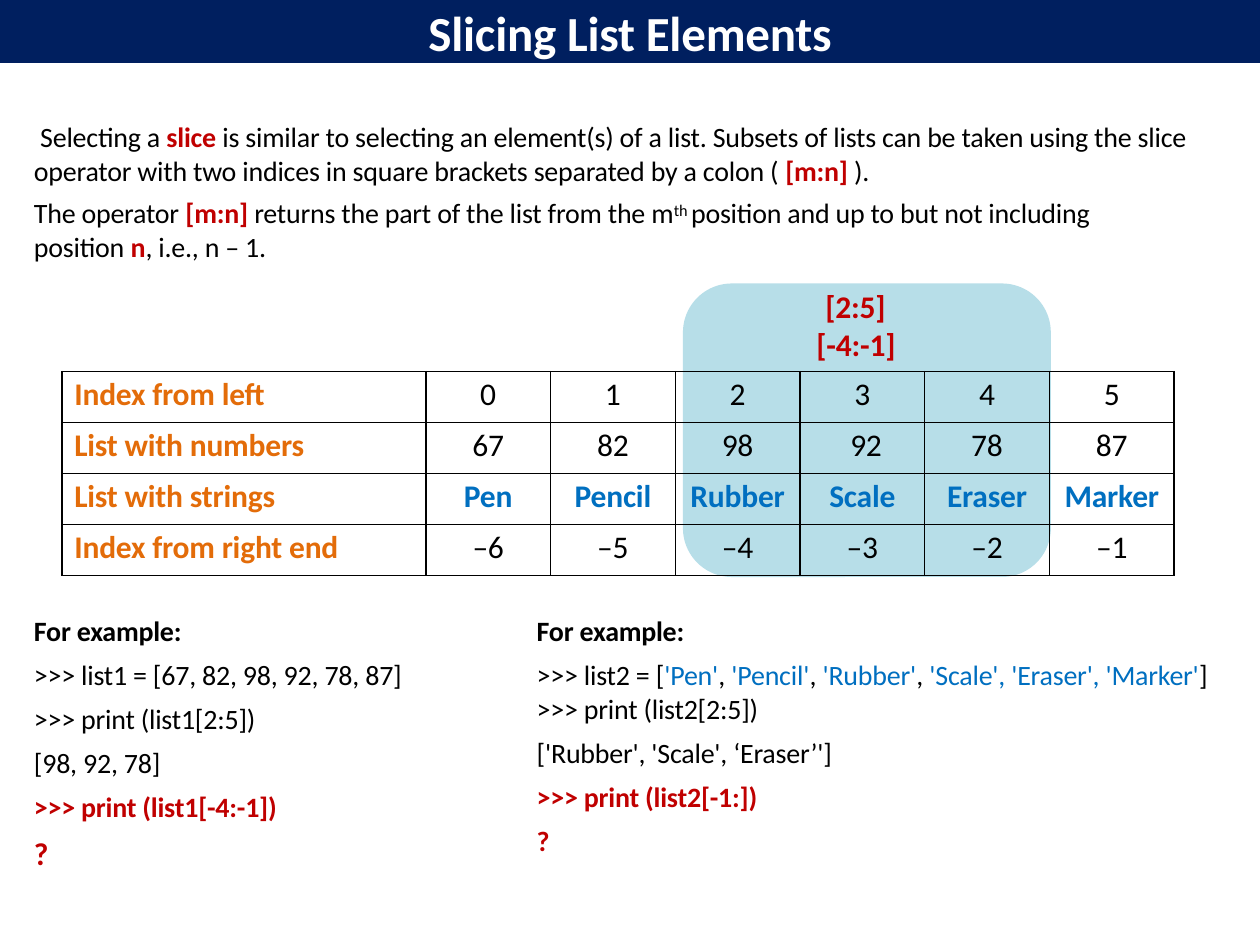
from lxml.etree import SubElement
from pptx import Presentation
from pptx.dml.color import RGBColor
from pptx.enum.shapes import MSO_SHAPE
from pptx.enum.text import MSO_ANCHOR, PP_ALIGN
from pptx.oxml.ns import qn
from pptx.util import Inches, Pt

NAVY = RGBColor(0x00, 0x1F, 0x5F)
WHITE = RGBColor(0xFF, 0xFF, 0xFF)
BLACK = RGBColor(0x00, 0x00, 0x00)
RED = RGBColor(0xC0, 0x00, 0x00)
BLUE = RGBColor(0x00, 0x6F, 0xC0)
ORANGE = RGBColor(0xE3, 0x6C, 0x09)
PALE_BLUE = RGBColor(0xB7, 0xDE, 0xE8)


def set_frame(frame, top):
    frame.word_wrap = True
    frame.vertical_anchor = MSO_ANCHOR.TOP
    frame.margin_left = frame.margin_right = frame.margin_bottom = 0
    frame.margin_top = Inches(top)


def fill_paragraph(para, runs, size=16, before=0, indent=0, align=PP_ALIGN.LEFT):
    para.alignment = align
    para.space_before = Pt(before)
    properties = para._p.get_or_add_pPr()
    properties.set("marL", str(Inches(indent)))
    properties.set("indent", "0")
    for text, color, bold in runs:
        if text == "\n":
            para.add_line_break()
            continue
        span = para.add_run()
        span.text = text
        span.font.name = "Calibri"
        span.font.size = Pt(size)
        span.font.bold = bold
        span.font.color.rgb = color
        span._r.get_or_add_rPr().set("spc", "-10")


deck = Presentation()
deck.slide_width = Inches(10)
deck.slide_height = Inches(7.5)
page = deck.slides.add_slide(deck.slide_layouts[6])

title = page.shapes.add_shape(MSO_SHAPE.RECTANGLE, 0, 0, Inches(10), Inches(0.5))
highlight = page.shapes.add_shape(
    MSO_SHAPE.ROUNDED_RECTANGLE, Inches(5.42), Inches(2.25), Inches(2.92), Inches(2.33)
)
for shape, color in ((title, NAVY), (highlight, PALE_BLUE)):
    shape.shadow.inherit = False
    shape.fill.solid()
    shape.fill.fore_color.rgb = color
    shape.line.fill.background()
set_frame(title.text_frame, 0.02)
fill_paragraph(
    title.text_frame.paragraphs[0], [("Slicing List Elements", WHITE, True)],
    size=28, before=1.8, align=PP_ALIGN.CENTER,
)

rows = [
    ("Index from left", "0", "1", "2", "3", "4", "5"),
    ("List with numbers", "67", "82", "98", "92", "78", "87"),
    ("List with strings", "Pen", "Pencil", "Rubber", "Scale", "Eraser", "Marker"),
    ("Index from right end", "–6", "–5", "–4", "–3", "–2", "–1"),
]
table = page.shapes.add_table(
    4, 7, Inches(0.49), Inches(2.95), Inches(8.83), Inches(1.62)
).table
table.first_row = False
table.horz_banding = False
for index, column in enumerate(table.columns):
    column.width = Inches(0.99 if index else 2.89)
for row_index, values in enumerate(rows):
    for column_index, value in enumerate(values):
        cell = table.cell(row_index, column_index)
        cell.margin_left = cell.margin_right = cell.margin_bottom = 0
        cell.margin_top = Inches(0.03)
        if column_index == 0:
            color, bold, indent, align = ORANGE, True, 0.1, PP_ALIGN.LEFT
        else:
            is_name = value.isalpha()
            color, bold, align = BLUE if is_name else BLACK, is_name, PP_ALIGN.CENTER
            indent = 0.06 if value == "92" else 0
        fill_paragraph(
            cell.text_frame.paragraphs[0], [(value, color, bold)],
            size=18, before=2.5, indent=indent, align=align,
        )
        cell_properties = cell._tc.get_or_add_tcPr()
        for side in ("a:lnL", "a:lnR", "a:lnT", "a:lnB"):
            border = SubElement(cell_properties, qn(side), w=str(Pt(1)))
            border_fill = SubElement(border, qn("a:solidFill"))
            SubElement(border_fill, qn("a:srgbClr"), val=str(BLACK))
        cell.fill.background()

intro = [
    ([("Selecting a ", BLACK, False), ("slice ", RED, True),
      ("is similar to selecting an element(s) of a list. Subsets of lists can be taken "
       "using the slice operator with two indices in square brackets separated by a colon ( ",
       BLACK, False),
      ("[m:n] ", RED, True), (").", BLACK, False)], 16, 0.9, 0.06),
    ([("The operator ", BLACK, False), ("[m:n] ", RED, True),
      ("returns the part of the list from the m", BLACK, False), ("th ", BLACK, False),
      ("position and up to but not including", BLACK, False), ("\n", BLACK, False),
      ("position ", BLACK, False), ("n", RED, True), (", i.e., n – 1.", BLACK, False)],
     16, 5, 0.06),
    ([("[2:5]", RED, True)], 18, 14, 6.34),
    ([("[-4:-1]", RED, True)], 18, 0, 6.27),
]
numbers_example = [
    ([("For example:", BLACK, True)], 16, 7, 0.01),
    ([(">>> list1 = [67, 82, 98, 92, 78, 87]", BLACK, False)], 16, 6, 0.01),
    ([(">>> print (list1[2:5])", BLACK, False)], 16, 6, 0.01),
    ([("[98, 92, 78]", BLACK, False)], 16, 6, 0.01),
    ([(">>> print (list1[-4:-1])", RED, True)], 16, 6, 0.01),
    ([("?", RED, True)], 18, 5.8, 0.01),
]
strings_example = [
    ([("For example:", BLACK, True)], 16, 7, 0.01),
    ([(">>> list2 = [", BLACK, False), ("'Pen'", BLUE, False), (", ", BLACK, False),
      ("'Pencil'", BLUE, False), (", ", BLACK, False), ("'Rubber'", BLUE, False),
      (", ", BLACK, False), ("'Scale', 'Eraser', 'Marker'", BLUE, False),
      ("]", BLACK, False)], 16, 6, 0.01),
    ([(">>> print (list2[2:5])", BLACK, False)], 16, 0, 0.01),
    ([("['Rubber', 'Scale', ‘Eraser’']", BLACK, False)], 16, 6, 0.01),
    ([(">>> print (list2[-1:])", RED, True)], 16, 6, 0.01),
    ([("?", RED, True)], 16, 6, 0.01),
]
for left, top, width, height, inset, content in (
    (0.21, 0.94, 9.44, 1.96, 0.01, intro),
    (0.26, 4.77, 3.01, 2.16, 0.1, numbers_example),
    (4.25, 4.77, 5.45, 2.05, 0.1, strings_example),
):
    box = page.shapes.add_textbox(Inches(left), Inches(top), Inches(width), Inches(height))
    frame = box.text_frame
    set_frame(frame, inset)
    for index, (runs, size, before, indent) in enumerate(content):
        para = frame.add_paragraph() if index else frame.paragraphs[0]
        fill_paragraph(para, runs, size, before, indent)
        if content is intro and index == 0:
            para._p.get_or_add_pPr().set("indent", str(Inches(0.05)))
        for span in para.runs:
            if span.text == "th ":
                span._r.get_or_add_rPr().set("baseline", "26000")

deck.save("out.pptx")
